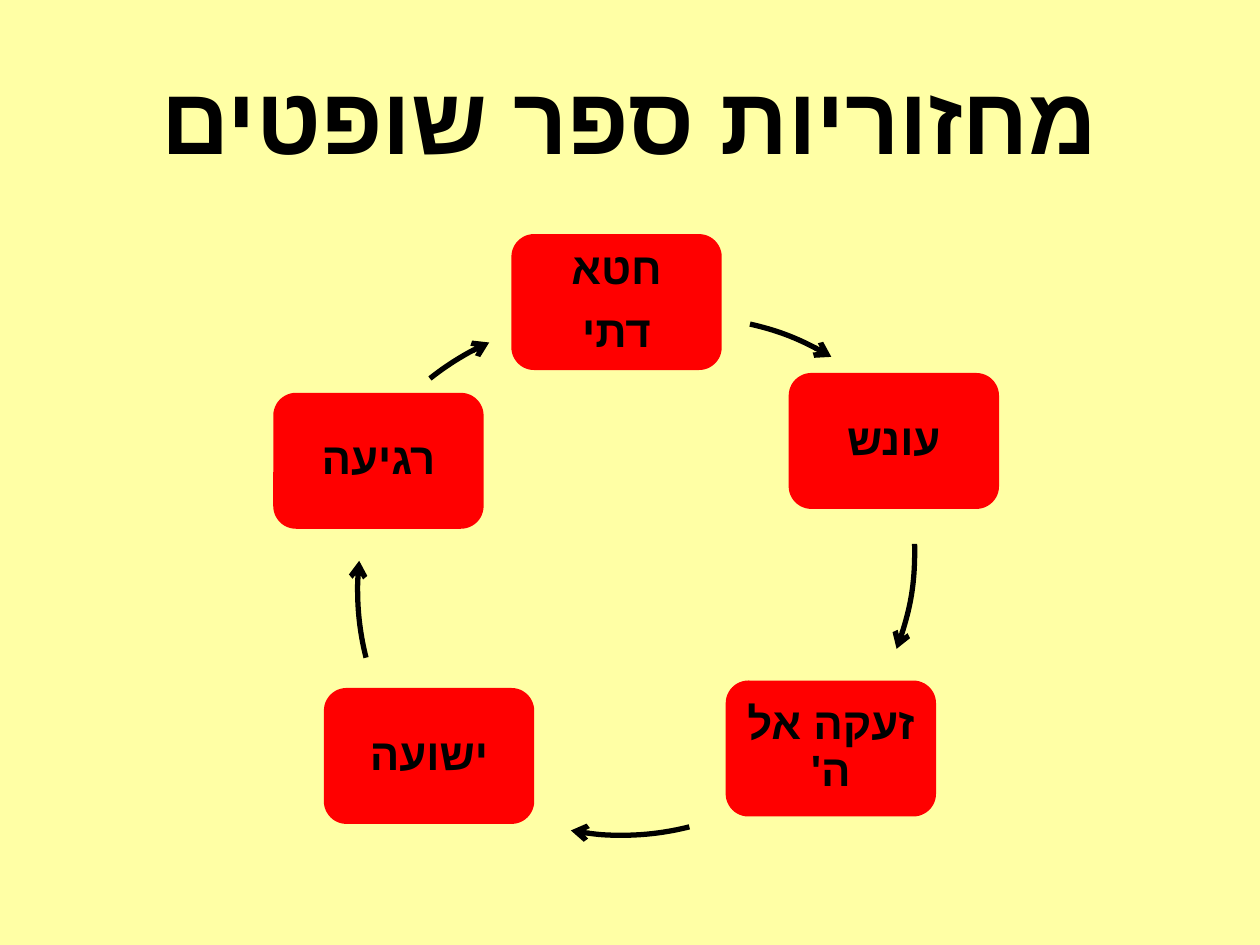
from lxml import etree
from pptx import Presentation
from pptx.dml.color import RGBColor
from pptx.enum.shapes import MSO_SHAPE
from pptx.enum.text import MSO_ANCHOR, PP_ALIGN
from pptx.oxml.ns import qn
from pptx.util import Cm, Pt

ROUNDED, ARC = MSO_SHAPE.ROUNDED_RECTANGLE, MSO_SHAPE.ARC
CENTER, MIDDLE = PP_ALIGN.CENTER, MSO_ANCHOR.MIDDLE
YELLOW = RGBColor(0xFF, 0xFF, 0xA5)
RED = RGBColor(0xFF, 0x00, 0x00)
BLACK = RGBColor(0x00, 0x00, 0x00)
FONT = "Arial"

TITLE = "מחזוריות ספר שופטים"
# Stages clockwise from the top: lines, left, top (cm)
STAGES = [
    (["חטא", "דתי"], 10.31, 4.72),
    (["עונש"], 15.9, 7.52),
    (["זעקה אל ה'"], 14.63, 13.72),
    (["ישועה"], 6.53, 13.87),
    (["רגיעה"], 5.51, 7.92),
]
# Arrows between stages: left, top of the circle (cm), start and end angle
ARROWS = [
    (8.41, 6.4, 282.7, 301.2),
    (7.44, 5.61, 358.5, 21),
    (7.04, 5.84, 75.7, 100.8),
    (7.21, 6.4, 165.7, 186.2),
    (6.6, 6.43, 231.4, 246),
]
STAGE_WIDTH, STAGE_HEIGHT = 4.24, 2.74
CIRCLE = 11
ANGLE_UNIT = 0.6  # adjustment value of one degree


def write(shape, lines, size, margin):
    frame = shape.text_frame
    frame.word_wrap = True
    frame.vertical_anchor = MIDDLE
    frame.margin_left = frame.margin_right = Cm(margin)
    frame.margin_top = frame.margin_bottom = Cm(margin)
    frame.text = "\n".join(lines)
    for paragraph in frame.paragraphs:
        paragraph.alignment = CENTER
        paragraph._p.get_or_add_pPr().set("rtl", "1")
        for run in paragraph.runs:
            font = run.font
            font.name, font.size, font.bold = FONT, Pt(size), True
            font.color.rgb = BLACK
            script = etree.SubElement(run._r.get_or_add_rPr(), qn("a:cs"))
            script.set("typeface", FONT)
    return frame.paragraphs


def add_stage(slide, lines, left, top):
    shape = slide.shapes.add_shape(
        ROUNDED, Cm(left), Cm(top), Cm(STAGE_WIDTH), Cm(STAGE_HEIGHT))
    shape.shadow.inherit = False
    shape.fill.solid()
    shape.fill.fore_color.rgb = RED
    shape.line.fill.background()
    for paragraph in write(shape, lines, 25, 0.13):
        paragraph.line_spacing = 0.9
        paragraph.space_after = Pt(8.75)


def add_arrow(slide, left, top, start, end):
    arc = slide.shapes.add_shape(
        ARC, Cm(left), Cm(top), Cm(CIRCLE), Cm(CIRCLE))
    arc.shadow.inherit = False
    arc.adjustments[0] = start * ANGLE_UNIT
    arc.adjustments[1] = end * ANGLE_UNIT
    arc.fill.background()
    arc.line.color.rgb = BLACK
    arc.line.width = Pt(3)
    head = etree.SubElement(arc.line._get_or_add_ln(), qn("a:tailEnd"))
    head.set("type", "arrow")


def main():
    presentation = Presentation()
    presentation.slide_width, presentation.slide_height = Cm(25.4), Cm(19.05)
    slide = presentation.slides.add_slide(presentation.slide_layouts[6])
    slide.background.fill.solid()
    slide.background.fill.fore_color.rgb = YELLOW

    # Title
    title = slide.shapes.add_textbox(Cm(1.27), Cm(0.76), Cm(22.86), Cm(3.18))
    write(title, [TITLE], 54, 0.13)

    # Cycle
    for stage, arrow in zip(STAGES, ARROWS):
        add_stage(slide, *stage)
        add_arrow(slide, *arrow)

    presentation.save("out.pptx")


if __name__ == "__main__":
    main()
